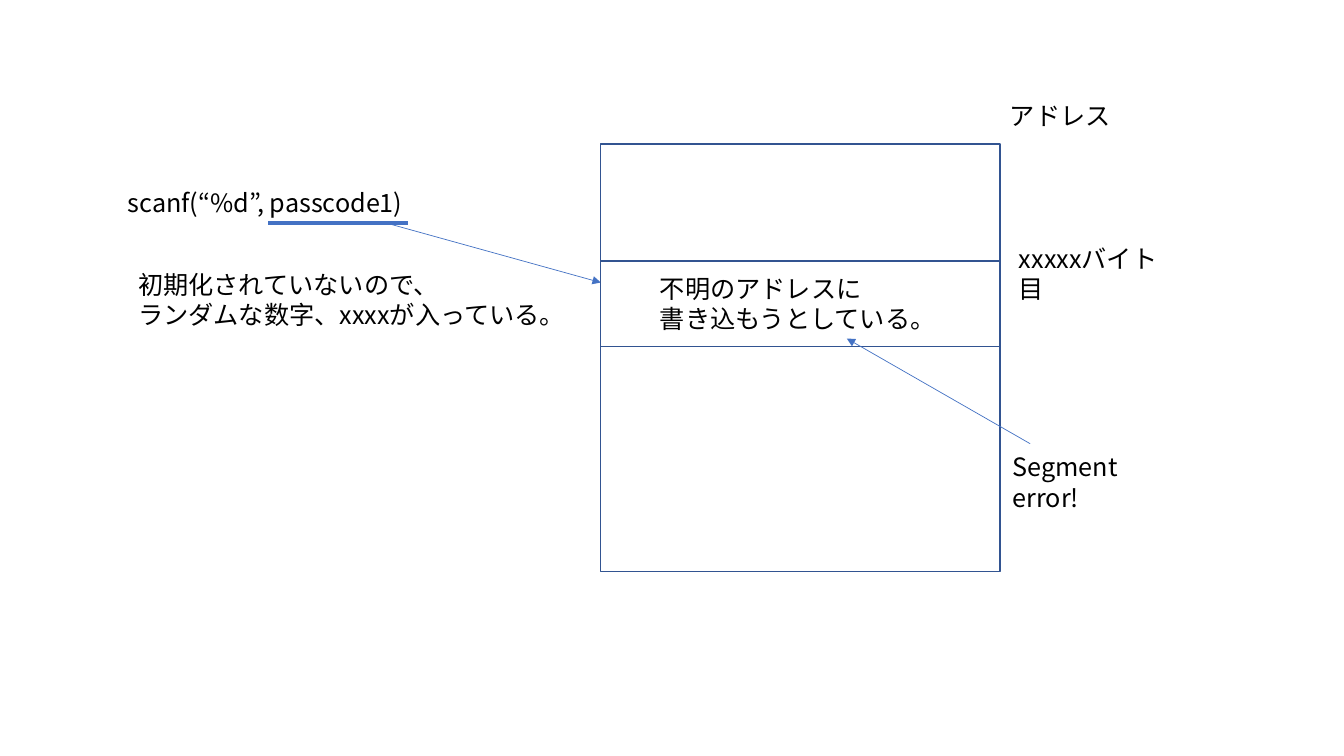
import dataclasses

import pptx
import pptx.dml.color
import pptx.enum.shapes
import pptx.enum.text
import pptx.oxml
import pptx.oxml.ns
import pptx.util

Cm = pptx.util.Cm
Pt = pptx.util.Pt
qn = pptx.oxml.ns.qn


@dataclasses.dataclass(frozen=True)
class Theme:
    """Hold the colours, font and sizes of the slide."""
    ink: str = "000000"
    blue: str = "4472C4"
    edge: str = "325491"
    face: str = "Noto Sans CJK JP"
    size: int = 18
    thin: float = 0.5
    frame: float = 1
    thick: float = 3


@dataclasses.dataclass(frozen=True)
class Box:
    """Describe a region in centimetres."""
    left: float
    top: float
    width: float
    height: float

    def at(self, x, y):
        """Turn a point within the region into slide lengths."""
        return Cm(self.left + x), Cm(self.top + y)


THEME = Theme()


def paint(line, shade, width):
    """Set the colour and width of a line."""
    line.color.rgb = pptx.dml.color.RGBColor.from_string(shade)
    line.width = Pt(width)


def write(slide, box, x, y, width, rows, wrap=False):
    """Place rows of text in the region."""
    label = slide.shapes.add_textbox(*box.at(x, y), Cm(width), Cm(1.03 if len(rows) == 1 else 1.8))
    frame = label.text_frame
    frame.word_wrap = wrap
    frame.auto_size = pptx.enum.text.MSO_AUTO_SIZE.SHAPE_TO_FIT_TEXT
    frame.text = "\n".join(rows)
    for para in frame.paragraphs:
        font = para.font
        font.size = Pt(THEME.size)
        font.name = THEME.face
        font.color.rgb = pptx.dml.color.RGBColor.from_string(THEME.ink)
        props = para._p.get_or_add_pPr().get_or_add_defRPr()
        asian = pptx.oxml.parse_xml(f'<a:ea {pptx.oxml.ns.nsdecls("a")} typeface="{THEME.face}"/>')
        props.find(qn("a:latin")).addnext(asian)


def link(slide, box, start, end, width, arrow=False):
    """Draw a straight line in the region, with an arrowhead if asked."""
    kind = pptx.enum.shapes.MSO_CONNECTOR.STRAIGHT
    line = slide.shapes.add_connector(kind, *box.at(*start), *box.at(*end))
    paint(line.line, THEME.blue, width)
    props = line._element.spPr
    if arrow:
        tail = props.find(qn("a:ln")).makeelement(qn("a:tailEnd"), {"type": "triangle"})
        props.find(qn("a:ln")).append(tail)
    props.append(props.makeelement(qn("a:effectLst"), {}))


def block(slide, box, y, height):
    """Draw an outlined block across the region."""
    kind = pptx.enum.shapes.MSO_SHAPE.RECTANGLE
    shape = slide.shapes.add_shape(kind, *box.at(0, y), Cm(box.width), Cm(height))
    shape.shadow.inherit = False
    shape.fill.background()
    paint(shape.line, THEME.edge, THEME.frame)


def call(slide, box):
    """Show the call, its underlined argument and the arrow to memory."""
    write(slide, box, 0, 0, 7.54, ["scanf(“%d”, passcode1)"])
    link(slide, box, (3.79, 1.02), (7.32, 1.02), THEME.thick)
    write(slide, box, 0.26, 2.06, 11.38, ["初期化されていないので、", "ランダムな数字、xxxxが入っている。"])
    link(slide, box, (6.76, 1.02), (box.width, 2.52), THEME.thin, arrow=True)


def memory(slide, box):
    """Show the memory block and the cell being written."""
    block(slide, box, 0, box.height)
    block(slide, box, 2.95, 2.16)
    write(slide, box, 1.24, 3.13, 7.57, ["不明のアドレスに", "書き込もうとしている。"])


def notes(slide, box):
    """Show the address labels and the error with its arrow."""
    write(slide, box, 0, 0, 3.07, ["アドレス"])
    write(slide, box, 0.23, 3.6, 4.45, ["xxxxxバイト目"], wrap=True)
    write(slide, box, 0.07, 8.85, 4.3, ["Segment error!"], wrap=True)
    link(slide, box, (0.76, 8.77), (-3.86, 6.12), THEME.thin, arrow=True)


def build():
    """Build and save the slide."""
    deck = pptx.Presentation()
    deck.slide_width, deck.slide_height = Cm(33.87), Cm(19.05)
    slide = deck.slides.add_slide(deck.slide_layouts[6])
    call(slide, Box(2.97, 4.6, 12.17, 3.9))
    memory(slide, Box(15.14, 3.63, 10.06, 10.77))
    notes(slide, Box(25.2, 2.41, 4.9, 10.7))
    deck.save("out.pptx")


build()
